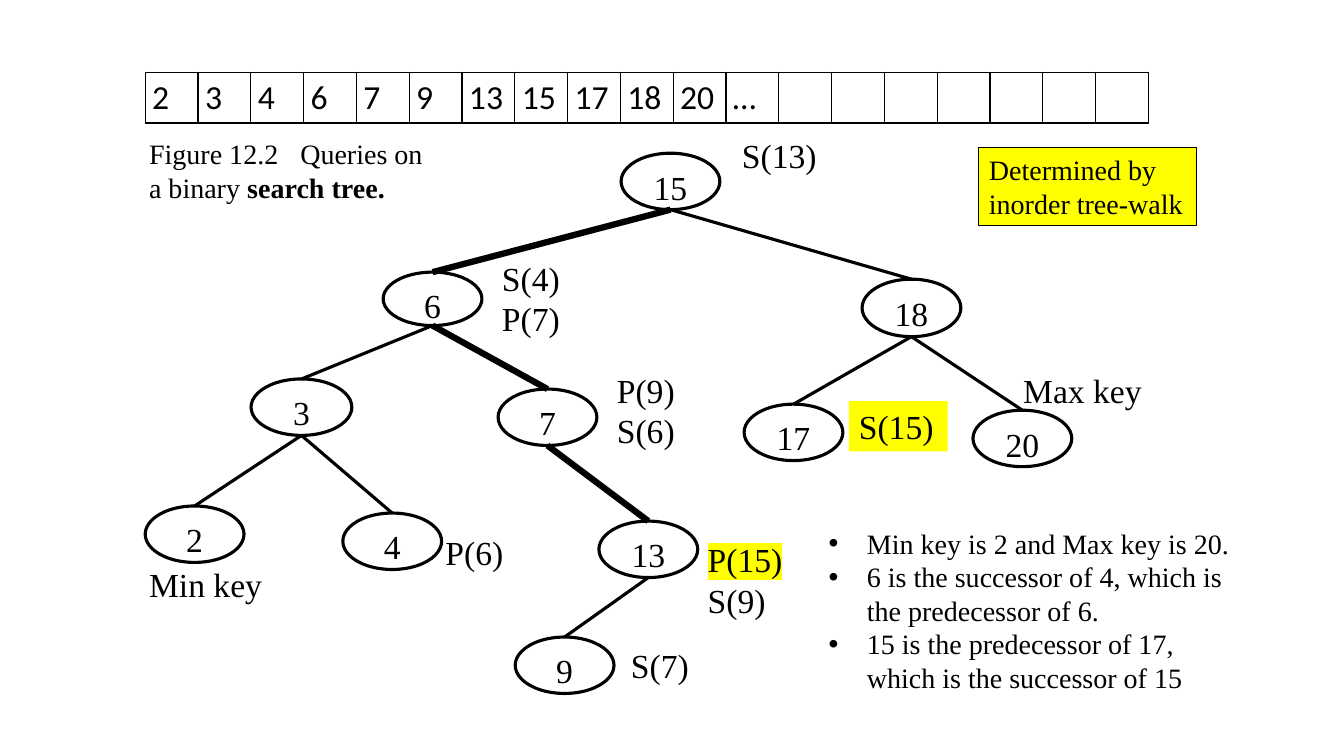
from dataclasses import dataclass

from lxml import etree
from pptx import Presentation
from pptx.dml.color import RGBColor
from pptx.enum.shapes import MSO_CONNECTOR, MSO_SHAPE
from pptx.enum.text import MSO_ANCHOR, MSO_AUTO_SIZE, PP_ALIGN
from pptx.oxml.ns import qn
from pptx.util import Inches, Pt

OVAL = MSO_SHAPE.OVAL
RECT = MSO_SHAPE.RECTANGLE
LINE = MSO_CONNECTOR.STRAIGHT
TOP, MIDDLE = MSO_ANCHOR.TOP, MSO_ANCHOR.MIDDLE
GROW = MSO_AUTO_SIZE.SHAPE_TO_FIT_TEXT
LEFT, CENTER = PP_ALIGN.LEFT, PP_ALIGN.CENTER


@dataclass(frozen=True)
class Theme:
    ink: str = "000000"
    paper: str = "FFFFFF"
    mark: str = "FFFF00"
    serif: str = "Times New Roman"
    sans: str = "Calibri"
    big: int = 24
    small: int = 20
    thin: float = 0.75
    grid: float = 1
    edge: float = 2.25
    bold: float = 4.5


THEME = Theme()

NODES = {
    15: (6.16, 1.52, 0.98, 0.56),
    6: (3.8, 2.7, 0.98, 0.53),
    18: (8.55, 2.77, 0.98, 0.57),
    3: (2.49, 3.76, 1, 0.56),
    7: (4.94, 3.86, 0.98, 0.56),
    17: (7.38, 4.01, 0.98, 0.56),
    20: (9.65, 4.07, 0.98, 0.56),
    2: (1.44, 5.02, 0.98, 0.56),
    4: (3.4, 5.09, 0.98, 0.56),
    13: (5.94, 5.17, 0.98, 0.56),
    9: (5.11, 6.32, 0.98, 0.56),
}
EDGES = [(15, 6), (15, 18), (6, 3), (6, 7), (3, 2), (3, 4),
         (18, 17), (18, 20), (7, 13), (13, 9)]
ROUTE = {(15, 6), (6, 7), (7, 13)}
LABELS = [
    ("S(13)", (7.26, 1.29, 0.95, 0.5)),
    ("P(9) S(6)", (6.02, 3.62, 0.83, 0.91)),
    ("S(7)", (6.16, 6.35, 0.98, 0.5)),
    ("P(6)", (4.32, 5.23, 0.83, 0.5)),
    ("Max key", (10.05, 3.62, 1.49, 0.5)),
    ("Min key", (1.38, 5.55, 1.49, 0.5)),
]
KEYS = ["2", "3", "4", "6", "7", "9", "13", "15", "17", "18", "20", "…"]
SLOTS = 19
FACTS = [
    "Min key is 2 and Max key is 20.",
    "6 is the successor of 4, which is the predecessor of 6.",
    "15 is the predecessor of 17, which is the successor of 15",
]


def color(code):
    return RGBColor.from_string(code)


def place(box):
    return [Inches(side) for side in box]


def add_xml(parent, tag, **attrs):
    return etree.SubElement(parent, qn(tag), attrs)


def style(para, size, face=THEME.serif, align=LEFT):
    para.alignment = align
    para.font.size = Pt(size)
    para.font.name = face
    para.font.color.rgb = color(THEME.ink)


def add_bullet(para):
    props = para._p.get_or_add_pPr()
    props.set("marL", str(Inches(0.38)))
    props.set("indent", str(Inches(-0.38)))
    add_xml(props, "a:buFont", typeface="Arial")
    add_xml(props, "a:buChar", char="•")


def add_tab(para, stop):
    tabs = add_xml(para._p.get_or_add_pPr(), "a:tabLst")
    add_xml(tabs, "a:tab", pos=str(Inches(stop)), algn="l")


def add_runs(para, *texts):
    runs = [para.add_run() for _ in texts]
    for run, text in zip(runs, texts):
        run.text = text
    return runs


def add_label(slide, lines, box, size=THEME.big, wrap=True, bullets=False):
    frame = slide.shapes.add_textbox(*place(box)).text_frame
    frame.word_wrap = wrap
    frame.auto_size = GROW
    frame.text = "\n".join(lines)
    for para in frame.paragraphs:
        if bullets:
            add_bullet(para)
        style(para, size)
    return frame


def add_block(slide, kind, text, box, fill, edge, size=THEME.big,
              align=LEFT, anchor=TOP):
    shape = slide.shapes.add_shape(kind, *place(box))
    shape.shadow.inherit = False
    shape.fill.solid()
    shape.fill.fore_color.rgb = color(fill)
    if edge:
        shape.line.color.rgb = color(THEME.ink)
        shape.line.width = Pt(edge)
    else:
        shape.line.fill.background()
    frame = shape.text_frame
    frame.word_wrap = True
    frame.vertical_anchor = anchor
    frame.text = text
    style(frame.paragraphs[0], size, align=align)
    return shape


def add_edge(slide, node, child, width):
    line = slide.shapes.add_connector(
        LINE, node.left + node.width // 2, node.top + node.height,
        child.left + child.width // 2, child.top)
    line.end_connect(child, 0)
    line.line.color.rgb = color(THEME.ink)
    line.line.width = Pt(width)
    add_xml(line._element.spPr, "a:effectLst")


def add_tree(slide):
    nodes = {key: add_block(slide, OVAL, str(key), box, THEME.paper,
                            THEME.edge, align=CENTER)
             for key, box in NODES.items()}
    for pair in EDGES:
        width = THEME.bold if pair in ROUTE else THEME.edge
        add_edge(slide, nodes[pair[0]], nodes[pair[1]], width)


def add_borders(cell):
    props = cell._tc.get_or_add_tcPr()
    for side in ("a:lnL", "a:lnR", "a:lnT", "a:lnB"):
        line = add_xml(props, side, w=str(Pt(THEME.grid)))
        add_xml(add_xml(line, "a:solidFill"), "a:srgbClr", val=THEME.ink)


def add_array(slide, box):
    table = slide.shapes.add_table(1, SLOTS, *place(box)).table
    table.first_row = table.horz_banding = False
    for slot in range(SLOTS):
        table.columns[slot].width = Inches(box[2] / SLOTS)
        cell = table.cell(0, slot)
        add_borders(cell)
        cell.fill.solid()
        cell.fill.fore_color.rgb = color(THEME.paper)
        cell.margin_left = cell.margin_right = Inches(0.07)
        cell.margin_top = cell.margin_bottom = 0
        cell.vertical_anchor = MIDDLE
        if slot < len(KEYS):
            cell.text = KEYS[slot]
            style(cell.text_frame.paragraphs[0], THEME.big, THEME.sans)


def add_marked(slide, box):
    para = add_label(slide, [""], box).paragraphs[0]
    first, _ = add_runs(para, "P(15) ", "S(9)")
    light = add_xml(first._r.get_or_add_rPr(), "a:highlight")
    add_xml(light, "a:srgbClr", val=THEME.mark)


def add_title(slide, box):
    frame = slide.shapes.add_textbox(*place(box)).text_frame
    frame.word_wrap = True
    frame.auto_size = GROW
    head, tail = frame.paragraphs[0], frame.add_paragraph()
    add_tab(head, 1.5)
    add_runs(head, "Figure 12.2\tQueries on")
    _, term = add_runs(tail, "a binary ", "search tree.")
    term.font.bold = True
    for para in (head, tail):
        style(para, THEME.small)


def main():
    deck = Presentation()
    deck.slide_width, deck.slide_height = Inches(13.33), Inches(7.5)
    slide = deck.slides.add_slide(deck.slide_layouts[6])
    add_tree(slide)
    for text, box in LABELS:
        add_label(slide, [text], box)
    add_block(slide, RECT, "S(15)", (8.42, 3.98, 0.98, 0.5), THEME.mark, 0)
    add_marked(slide, (6.92, 5.3, 1.01, 0.91))
    add_array(slide, (1.44, 0.72, 9.95, 0.5))
    add_label(slide, FACTS, (8.12, 5.17, 4.26, 1.78), THEME.small,
              bullets=True)
    add_title(slide, (1.38, 1.31, 3.12, 0.77))
    add_block(slide, RECT, "Determined by inorder tree-walk",
              (9.71, 1.46, 2.16, 0.78), THEME.mark, THEME.thin,
              THEME.small, anchor=MIDDLE)
    add_label(slide, ["S(4)", "P(7)"], (4.88, 2.51, 0.78, 0.91), wrap=False)
    deck.save("out.pptx")


if __name__ == "__main__":
    main()
